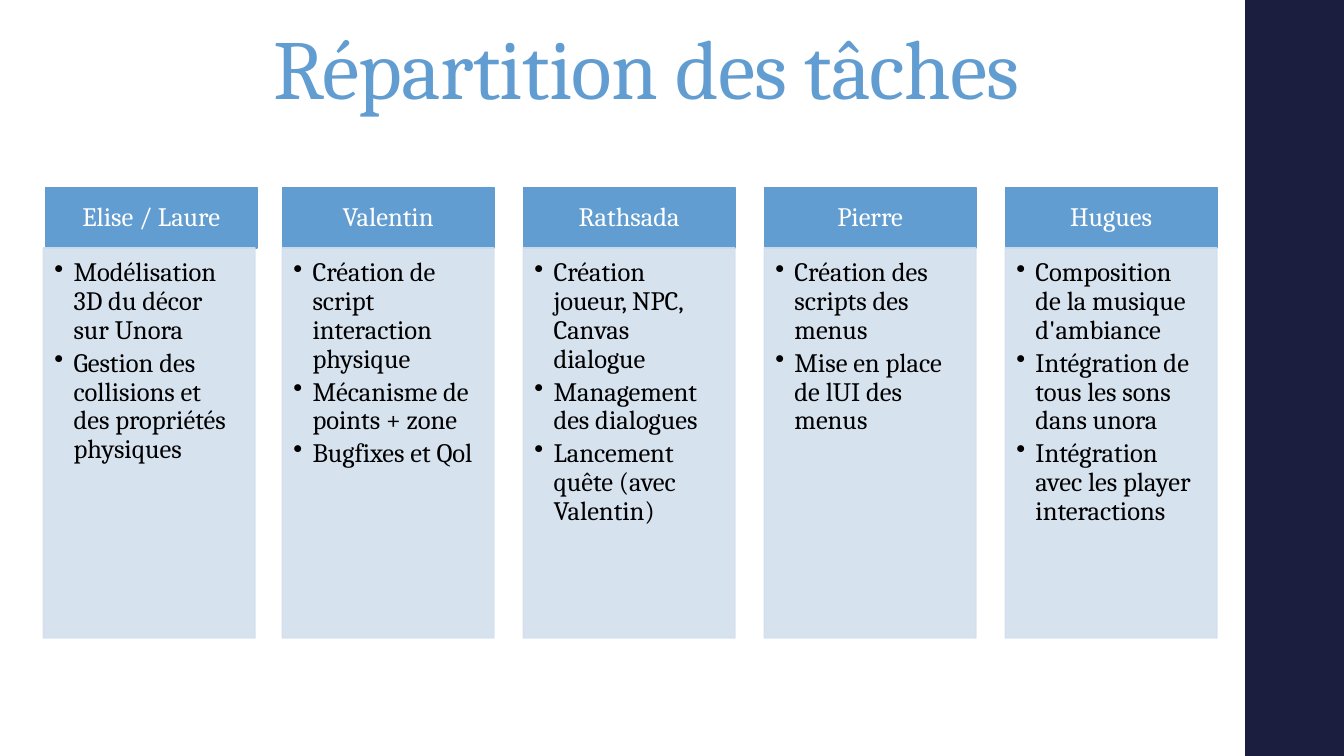
"""Build the task-sharing slide: one headed list per team member."""
from dataclasses import dataclass

from lxml.etree import SubElement
from pptx import Presentation
from pptx.dml.color import RGBColor
from pptx.enum.shapes import MSO_SHAPE as Shape
from pptx.enum.text import MSO_ANCHOR as Anchor, MSO_AUTO_SIZE as AutoSize, PP_ALIGN as Align
from pptx.oxml.ns import qn
from pptx.util import Inches, Pt

TITLE = "Répartition des tâches "
TASKS = {
    "Elise / Laure": ["Modélisation 3D du décor sur Unora",
                      "Gestion des collisions et des propriétés physiques"],
    "Valentin": ["Création de script interaction physique",
                 "Mécanisme de points + zone",
                 "Bugfixes et Qol"],
    "Rathsada": ["Création joueur, NPC, Canvas dialogue",
                 "Management des dialogues",
                 "Lancement quête (avec Valentin)"],
    "Pierre": ["Création des scripts des menus",
               "Mise en place de lUI des menus"],
    "Hugues": ["Composition de la musique d'ambiance",
               "Intégration de tous les sons dans unora",
               "Intégration avec les player interactions"],
}

COLUMN_LEFT, COLUMN_STEP, COLUMN_WIDTH = 0.41, 2.39, 2.1
HEADER_TOP, HEADER_HEIGHT, LIST_HEIGHT = 1.86, 0.6, 3.87
FIRST_HEADER_SHIFT, FIRST_LIST_SHIFT = 0.04, 0.02
HEADER_INSETS = (0.15, 0.08, 0.15, 0.08)
LIST_INSETS = (0.11, 0.11, 0.15, 0.17)
BULLET_INDENT = Inches(0.19)


@dataclass(frozen=True)
class Theme:
    """Colours, font and type sizes."""
    accent: RGBColor = RGBColor(0x62, 0x9D, 0xD1)
    panel: RGBColor = RGBColor(0xD3, 0xDF, 0xEE)
    band: RGBColor = RGBColor(0x1B, 0x1E, 0x3E)
    white: RGBColor = RGBColor(0xFF, 0xFF, 0xFF)
    black: RGBColor = RGBColor(0, 0, 0)
    font: str = "Cambria"
    title_size: Pt = Pt(60)
    text_size: Pt = Pt(19)
    panel_opacity: int = 90


THEME = Theme()


def style_paragraph(paragraph, size, color, spacing):
    """Set the type and line spacing of a paragraph."""
    paragraph.line_spacing = spacing
    for run in paragraph.runs:
        run.font.name = THEME.font
        run.font.size = size
        run.font.color.rgb = color


def add_box(slide, left, top, width, height, color, outlined=True):
    """Add a flat rectangle."""
    shape = slide.shapes.add_shape(
        Shape.RECTANGLE, Inches(left), Inches(top), Inches(width), Inches(height))
    shape.shadow.inherit = False
    shape.fill.solid()
    shape.fill.fore_color.rgb = color
    if outlined:
        shape.line.color.rgb = color
        shape.line.width = Pt(1)
    else:
        shape.line.fill.background()
    return shape


def set_text(shape, text, insets, anchor):
    """Write text in a shape and return its frame."""
    frame = shape.text_frame
    frame.text = text
    frame.word_wrap = True
    frame.vertical_anchor = anchor
    frame.margin_left, frame.margin_top, frame.margin_right, frame.margin_bottom = map(Inches, insets)
    return frame


def make_translucent(shape):
    """Apply the panel opacity to fill and line."""
    for color in shape._element.spPr.iter(qn("a:srgbClr")):
        SubElement(color, qn("a:alpha"), val=str(THEME.panel_opacity * 1000))


def add_bullet(paragraph):
    """Give a paragraph a hanging bullet."""
    properties = paragraph._p.get_or_add_pPr()
    properties.set("marL", str(BULLET_INDENT))
    properties.set("indent", str(-BULLET_INDENT))
    SubElement(properties, qn("a:buChar"), char="•")


def add_title(slide):
    """Fill and place the title."""
    title = slide.shapes.title
    title.left, title.top, title.width, title.height = map(Inches, (1.35, 0, 10.3, 1.46))
    frame = set_text(title, TITLE, (0.1, 0.05, 0.1, 0.05), Anchor.MIDDLE)
    frame.auto_size = AutoSize.NONE
    paragraph = frame.paragraphs[0]
    paragraph.alignment = Align.CENTER
    style_paragraph(paragraph, THEME.title_size, THEME.accent, 0.85)
    paragraph.runs[0]._r.get_or_add_rPr().set("spc", "-50")


def add_column(slide, index, name, tasks):
    """Add one member's header and task list."""
    left = COLUMN_LEFT + index * COLUMN_STEP
    header_shift, list_shift = (0, 0) if index else (FIRST_HEADER_SHIFT, FIRST_LIST_SHIFT)

    header = add_box(slide, left + header_shift, HEADER_TOP, COLUMN_WIDTH, HEADER_HEIGHT, THEME.accent)
    paragraph = set_text(header, name, HEADER_INSETS, Anchor.MIDDLE).paragraphs[0]
    paragraph.alignment = Align.CENTER
    style_paragraph(paragraph, THEME.text_size, THEME.white, 0.9)

    panel = add_box(slide, left + list_shift, HEADER_TOP + HEADER_HEIGHT,
                    COLUMN_WIDTH, LIST_HEIGHT, THEME.panel)
    make_translucent(panel)
    frame = set_text(panel, "\n".join(tasks), LIST_INSETS, Anchor.TOP)
    for paragraph in frame.paragraphs:
        paragraph.alignment = Align.LEFT
        paragraph.space_after = Pt(3)
        add_bullet(paragraph)
        style_paragraph(paragraph, THEME.text_size, THEME.black, 0.9)


def main():
    """Create and save the presentation."""
    presentation = Presentation()
    presentation.slide_width, presentation.slide_height = Inches(13.33), Inches(7.5)
    slide = presentation.slides.add_slide(presentation.slide_layouts[5])
    add_box(slide, 12.35, 0, 0.98, 7.5, THEME.band, outlined=False)
    add_title(slide)
    for index, (name, tasks) in enumerate(TASKS.items()):
        add_column(slide, index, name, tasks)
    presentation.save("out.pptx")


if __name__ == "__main__":
    main()
